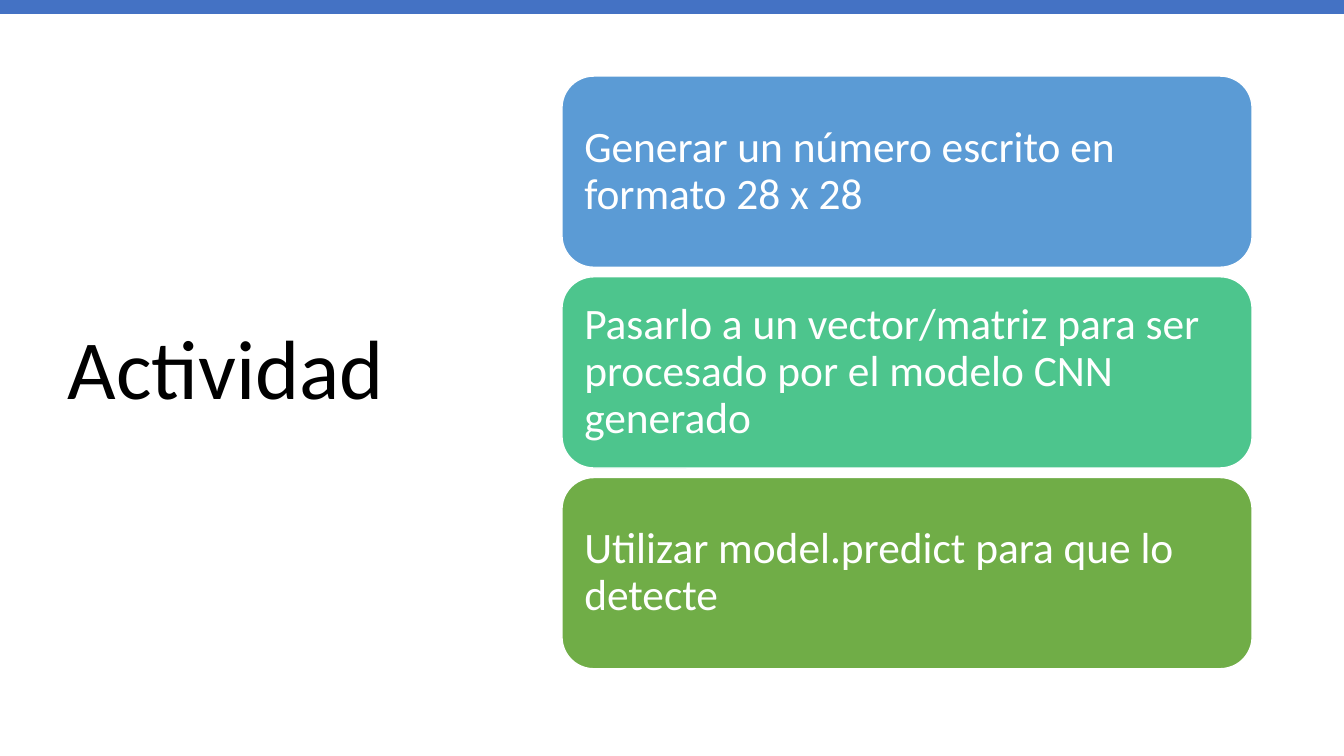
"""Build the activity slide: a title beside three stacked step cards."""
from dataclasses import dataclass

from pptx import Presentation
from pptx.dml.color import RGBColor
from pptx.enum import shapes, text
from pptx.util import Pt

HEADING = "Actividad"
STEPS = [
    ("Generar un número escrito en formato 28 x 28", "5B9BD5"),
    ("Pasarlo a un vector/matriz para ser procesado por el modelo CNN generado", "4DC58D"),
    ("Utilizar model.predict para que lo detecte", "70AD47"),
]


@dataclass(frozen=True)
class Theme:
    font: str = "Calibri"
    bar: str = "4472C4"
    dark: str = "000000"
    light: str = "FFFFFF"
    heading_size: float = 60
    step_size: float = 31


THEME = Theme()
SLIDE_WIDTH, SLIDE_HEIGHT = 960, 540
BAR_HEIGHT = 10
HEADING_BOX = (41, 49, 299.5, 433.5)
CARD_LEFT, CARD_TOP, CARD_WIDTH, CARD_HEIGHT = 401.4, 54.3, 493, 136.6
CARD_PITCH = 143.4


def write(shape, wording, *, size, color, inset=None, space_after=0):
    frame = shape.text_frame
    frame.word_wrap = True
    frame.auto_size = text.MSO_AUTO_SIZE.NONE
    frame.vertical_anchor = text.MSO_ANCHOR.MIDDLE
    if inset is not None:
        frame.margin_left = frame.margin_right = Pt(inset)
        frame.margin_top = frame.margin_bottom = Pt(inset)
    paragraph = frame.paragraphs[0]
    paragraph.alignment = text.PP_ALIGN.LEFT
    paragraph.line_spacing = 0.9
    paragraph.space_after = Pt(space_after)
    run = paragraph.add_run()
    run.text = wording
    run.font.name = THEME.font
    run.font.size = Pt(size)
    run.font.color.rgb = RGBColor.from_string(color)


def add_block(slide, kind, box, fill, line=None):
    block = slide.shapes.add_shape(kind, *map(Pt, box))
    block.shadow.inherit = False
    block.fill.solid()
    block.fill.fore_color.rgb = RGBColor.from_string(fill)
    if line:
        block.line.color.rgb = RGBColor.from_string(line)
        block.line.width = Pt(1)
    else:
        block.line.fill.background()
    return block


def main():
    deck = Presentation()
    deck.slide_width, deck.slide_height = Pt(SLIDE_WIDTH), Pt(SLIDE_HEIGHT)
    slide = deck.slides.add_slide(deck.slide_layouts[5])

    heading = slide.shapes.title
    heading.left, heading.top, heading.width, heading.height = map(Pt, HEADING_BOX)
    write(heading, HEADING, size=THEME.heading_size, color=THEME.dark)

    add_block(slide, shapes.MSO_SHAPE.RECTANGLE, (0, 0, SLIDE_WIDTH, BAR_HEIGHT), THEME.bar)

    for index, (step, fill) in enumerate(STEPS):
        box = (CARD_LEFT, CARD_TOP + index * CARD_PITCH, CARD_WIDTH, CARD_HEIGHT)
        card = add_block(slide, shapes.MSO_SHAPE.ROUNDED_RECTANGLE, box, fill, THEME.light)
        write(card, step, size=THEME.step_size, color=THEME.light, inset=9.3)

    deck.save("out.pptx")


if __name__ == "__main__":
    main()
